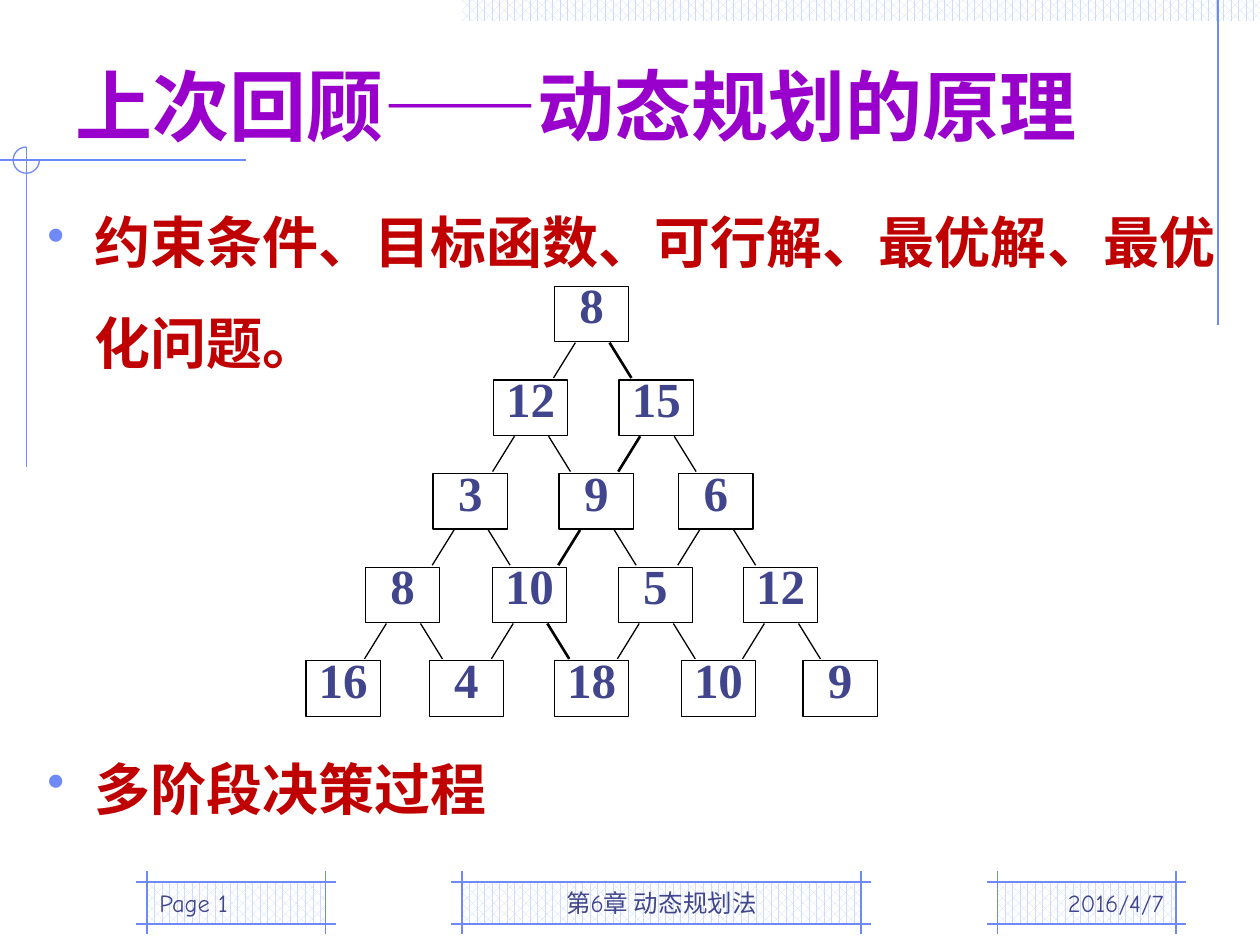
from lxml.etree import SubElement
from pptx import Presentation
from pptx.dml.color import RGBColor
from pptx.enum.dml import MSO_PATTERN
from pptx.enum.shapes import MSO_CONNECTOR, MSO_SHAPE
from pptx.enum.text import MSO_ANCHOR, PP_ALIGN
from pptx.oxml.ns import qn
from pptx.util import Pt

BLUE, PALE, INK = "6F89F7", "CFDBFD", "40458C"
RED, PURPLE, BLACK, WHITE = "C00000", "9900CC", "000000", "FFFFFF"


def color(code):
    return RGBColor.from_string(code)


def line(slide, x1, y1, x2, y2, code=BLUE, width=0.75):
    rule = slide.shapes.add_connector(
        MSO_CONNECTOR.STRAIGHT, Pt(x1), Pt(y1), Pt(x2), Pt(y2))
    rule.line.color.rgb = color(code)
    rule.line.width = Pt(width)
    SubElement(rule._element.spPr, qn("a:effectLst"))


def shape(slide, kind, box):
    item = slide.shapes.add_shape(kind, *map(Pt, box))
    item.shadow.inherit = False
    return item


def text_box(slide, box, anchor):
    frame = slide.shapes.add_textbox(*map(Pt, box)).text_frame
    frame.word_wrap = True
    frame.vertical_anchor = anchor
    return frame


def add_run(para, text, size, face, code, bold=False):
    run = para.add_run()
    run.text = text
    run.font.size = Pt(size)
    run.font.name = face
    run.font.bold = bold
    run.font.color.rgb = color(code)


def hatch(slide, box):
    fill = shape(slide, MSO_SHAPE.RECTANGLE, box)
    fill.line.fill.background()
    fill.fill.patterned()
    fill.fill.pattern = MSO_PATTERN.PERCENT_60
    fill.fill.fore_color.rgb = color(PALE)
    fill.fill.back_color.rgb = color(WHITE)


def corner(slide, box):
    left, top, width, height = box
    size = 15
    mid_x, mid_y = left + 15, top + size / 2
    line(slide, left, mid_y, left + width, mid_y)
    line(slide, mid_x, top, mid_x, top + height)
    arc = shape(slide, MSO_SHAPE.ARC, (mid_x - size / 2, top, size, size))
    arc.adjustments[0] = 0
    arc.adjustments[1] = 162
    arc.fill.background()
    arc.line.color.rgb = color(BLUE)
    arc.line.width = Pt(0.75)


def footer(slide, box, text, align):
    left, top, width, height = box
    right, base, over = left + width, top + height, 6
    hatch(slide, box)
    for y in (top, base):
        line(slide, left - over, y, right + over, y)
    for x in (left, right):
        line(slide, x, top - over, x, base + over)
    frame = text_box(slide, (left, top - 12, width, height + 12),
                     MSO_ANCHOR.BOTTOM)
    para = frame.paragraphs[0]
    para.alignment = align
    add_run(para, text, 14, "Comic Neue", INK)


def title(slide, box, text):
    frame = text_box(slide, box, MSO_ANCHOR.BOTTOM)
    add_run(frame.paragraphs[0], text, 44, "Karla", PURPLE, True)


def body(slide, box, items):
    frame = text_box(slide, box, MSO_ANCHOR.TOP)
    for i, (text, gap) in enumerate(items):
        para = frame.add_paragraph() if i else frame.paragraphs[0]
        props = para._p.get_or_add_pPr()
        props.set("marL", str(Pt(27)))
        props.set("indent", str(Pt(-27)))
        tint = SubElement(props, qn("a:buClr"))
        SubElement(tint, qn("a:srgbClr"), val=BLUE)
        SubElement(props, qn("a:buSzPct"), val="90000")
        SubElement(props, qn("a:buChar"), char="•")
        para.line_spacing = 1.5
        para.space_before = Pt(gap)
        add_run(para, text, 32, "Karla", RED, True)


def node(slide, box, text):
    cell = shape(slide, MSO_SHAPE.RECTANGLE, box)
    cell.fill.solid()
    cell.fill.fore_color.rgb = color(WHITE)
    cell.line.color.rgb = color(BLACK)
    cell.line.width = Pt(0.75)
    frame = cell.text_frame
    frame.margin_left = frame.margin_right = 0
    frame.margin_top = frame.margin_bottom = 0
    frame.vertical_anchor = MSO_ANCHOR.TOP
    para = frame.paragraphs[0]
    para.alignment = PP_ALIGN.CENTER
    para.line_spacing = 0.8
    add_run(para, text, 28, "Times New Roman", INK, True)


def tree(slide, box, rows, route):
    left, top, width, height = box
    wide, high = 42.5, 31.7
    step = (height - high) / (len(rows) - 1)
    for i, row in enumerate(rows):
        y = top + i * step
        for x, text in row:
            node(slide, (left + x, y, wide, high), text)
    for i, row in enumerate(rows[:-1]):
        y = top + i * step + high + 0.5
        for j, (x, text) in enumerate(row):
            for side, (start, end) in enumerate(((12, -0.5), (31.5, 44))):
                weight = 1.5 if (i, j, side) in route else 0.75
                line(slide, left + x + start, y, left + x + end, y + 20.2,
                     BLACK, weight)


def main():
    deck = Presentation()
    deck.slide_width, deck.slide_height = Pt(720), Pt(540)
    slide = deck.slides.add_slide(deck.slide_layouts[6])

    hatch(slide, (264, 0, 456, 12))
    line(slide, 696, 0, 696, 186)
    corner(slide, (0, 84, 140.5, 183))
    title(slide, (36, 18, 612, 72), "上次回顾——动态规划的原理")
    body(slide, (20, 96, 684, 396), [
        ("约束条件、目标函数、可行解、最优解、最优化问题。", 0),
        ("多阶段决策过程", 197),
    ])
    for x, width, text, align in (
        (84, 102, "Page 1", PP_ALIGN.LEFT),
        (264, 228, "第6章 动态规划法", PP_ALIGN.CENTER),
        (570, 102, "2016/4/7", PP_ALIGN.RIGHT),
    ):
        footer(slide, (x, 504, width, 24), text, align)

    rows = [
        [(142, "8")],
        [(107.2, "12"), (179, "15")],
        [(72.7, "3"), (144.7, "9"), (213, "6")],
        [(34, "8"), (106.5, "10"), (178.5, "5"), (250, "12")],
        [(0, "16"), (70.5, "4"), (142, "18"), (214.5, "10"), (284, "9")],
    ]
    route = {(0, 0, 1), (1, 1, 0), (2, 1, 0), (3, 1, 1)}
    tree(slide, (174.8, 163.6, 326.5, 245.7), rows, route)
    deck.save("out.pptx")


if __name__ == "__main__":
    main()
